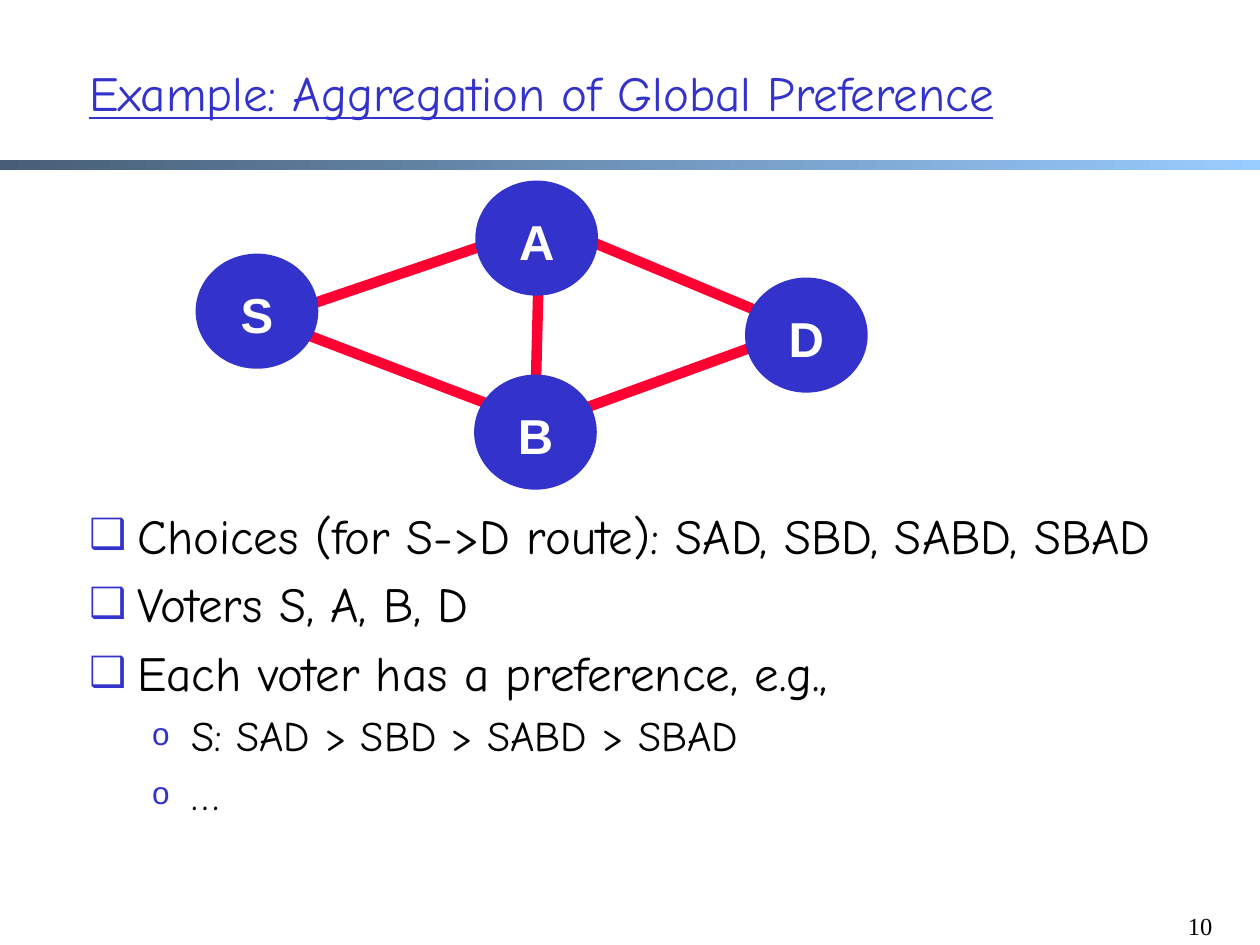
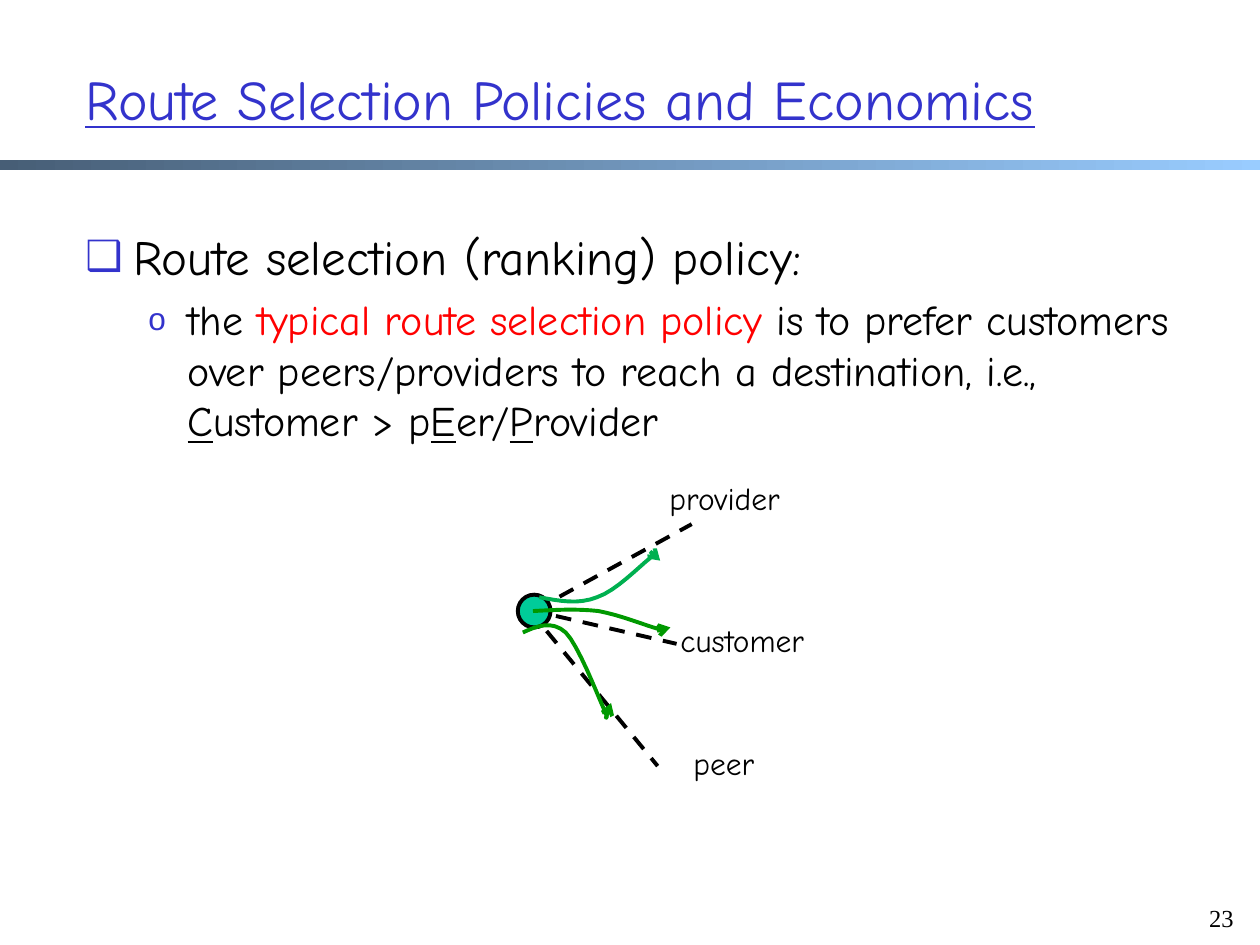
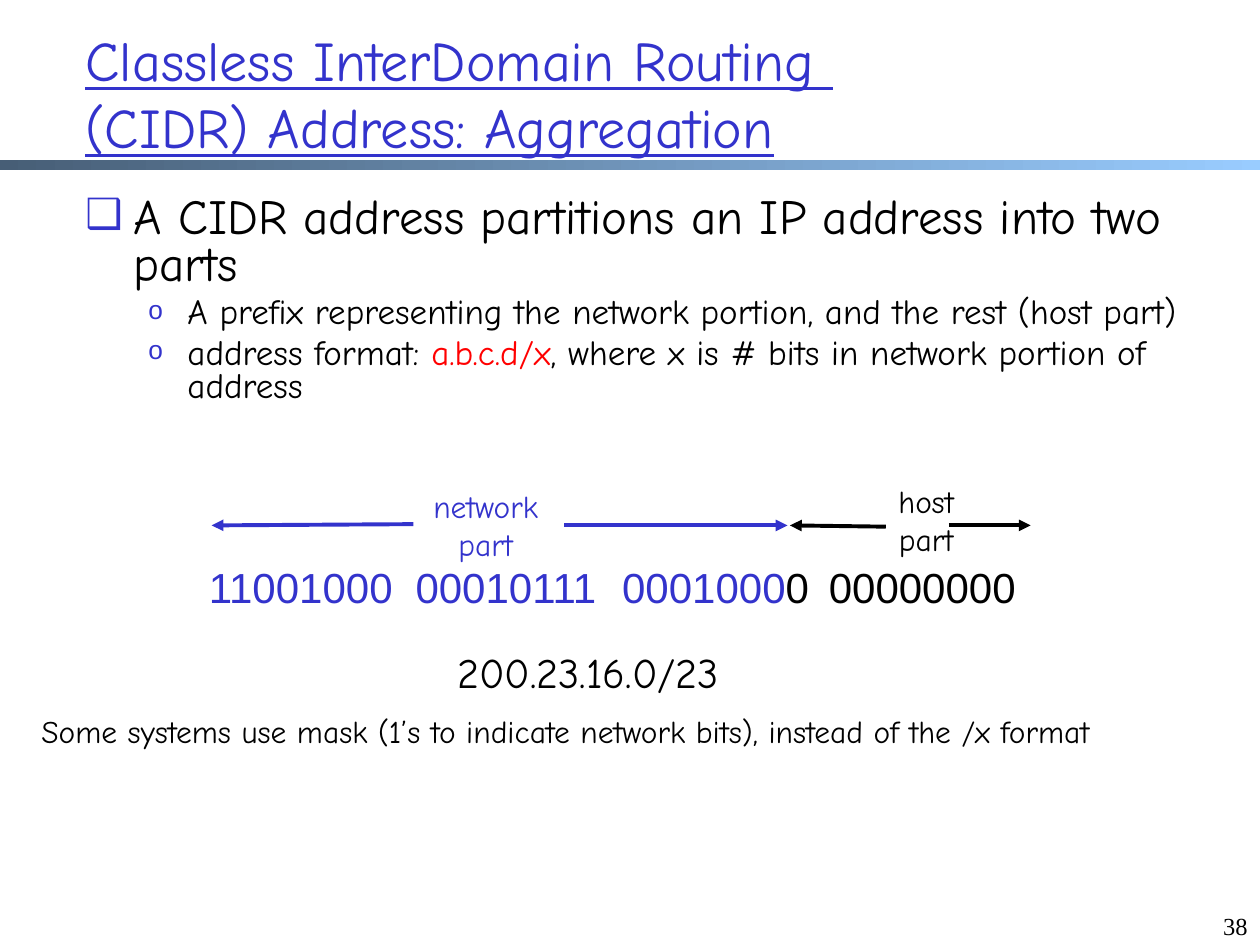
"""Build three slides on interdomain routing: preferences, policies and CIDR."""
import dataclasses

import lxml.etree
import pptx
import pptx.dml.color
import pptx.enum.dml
import pptx.enum.shapes
import pptx.enum.text
import pptx.oxml.ns
import pptx.util

Inches = pptx.util.Inches
Align = pptx.enum.text.PP_ALIGN
Anchor = pptx.enum.text.MSO_ANCHOR
Preset = pptx.enum.shapes.MSO_SHAPE


@dataclasses.dataclass(frozen=True)
class Theme:
    blue: str = "3333CC"
    black: str = "000000"
    white: str = "FFFFFF"
    red: str = "FF0000"
    link: str = "FF0033"
    router: str = "00CC99"
    route: str = "009900"
    provider_route: str = "00B050"
    band_start: str = "475E76"
    band_end: str = "99CCFF"
    text_font: str = "Comic Neue"
    plain_font: str = "Arial"
    number_font: str = "Times New Roman"
    title: int = 32
    large: int = 28
    medium: int = 24
    small: int = 20
    label: int = 18
    number: int = 14
    link_width: float = 6
    line_width: float = 2.25


THEME = Theme()
BULLETS = [("❑", 0.38, -0.38, 85), ("o", 0.81, -0.31, 75)]


@dataclasses.dataclass(frozen=True)
class Span:
    text: str
    colour: str = THEME.black
    underline: bool = False


def rgb(colour):
    return pptx.dml.color.RGBColor.from_string(colour)


def add_child(parent, tag, **attributes):
    child = lxml.etree.SubElement(parent, pptx.oxml.ns.qn(tag))
    for name, value in attributes.items():
        child.set(name, str(value))
    return child


def write(paragraph, span, size, font=THEME.text_font, bold=False):
    run = paragraph.add_run()
    run.text = span.text
    run.font.name = font
    run.font.size = pptx.util.Pt(size)
    run.font.bold = bold
    run.font.underline = span.underline
    run.font.color.rgb = rgb(span.colour)


def add_frame(slide, left, top, width, height):
    frame = slide.shapes.add_textbox(
        Inches(left), Inches(top), Inches(width), Inches(height)).text_frame
    frame.word_wrap = True
    return frame


def each_paragraph(frame, items):
    for index, item in enumerate(items):
        yield (frame.add_paragraph() if index else frame.paragraphs[0]), item


def add_label(slide, box, lines, size=THEME.label, colour=THEME.black,
              font=THEME.text_font, align=Align.CENTER):
    for paragraph, line in each_paragraph(add_frame(slide, *box), lines):
        paragraph.alignment = align
        write(paragraph, Span(line, colour), size, font)


def add_title(slide, box, lines, size=THEME.title):
    frame = add_frame(slide, *box)
    frame.vertical_anchor = Anchor.MIDDLE
    paragraph = frame.paragraphs[0]
    for index, line in enumerate(lines):
        if index:
            paragraph.add_line_break()
        write(paragraph, Span(line, THEME.blue, True), size)


def add_bullets(slide, box, points, line_spacing=1.0):
    frame = add_frame(slide, *box)
    for paragraph, (level, size, spans) in each_paragraph(frame, points):
        symbol, margin, indent, percent = BULLETS[level]
        paragraph.level = level
        paragraph.line_spacing = line_spacing
        if paragraph is not frame.paragraphs[0] and (level, size) != points[0][:2] or spans is not points[0][2]:
            paragraph.space_before = pptx.util.Pt(size * 0.2)
        properties = paragraph._p.get_or_add_pPr()
        properties.set("marL", str(Inches(margin)))
        properties.set("indent", str(Inches(indent)))
        add_child(add_child(properties, "a:buClr"), "a:srgbClr", val=THEME.blue)
        add_child(properties, "a:buSzPct", val=percent * 1000)
        add_child(properties, "a:buFont", typeface=THEME.plain_font)
        add_child(properties, "a:buChar", char=symbol)
        for span in spans:
            write(paragraph, span, size)


def style_line(shape, colour, width, arrowhead=None):
    shape.line.color.rgb = rgb(colour)
    shape.line.width = pptx.util.Pt(width)
    if arrowhead:
        outline = shape.element.spPr.find(pptx.oxml.ns.qn("a:ln"))
        add_child(outline, "a:tailEnd", type=arrowhead)


def add_line(slide, start, end, colour, width=THEME.line_width,
             arrowhead=None, dashed=False):
    line = slide.shapes.add_connector(
        pptx.enum.shapes.MSO_CONNECTOR.STRAIGHT,
        *(Inches(value) for value in (*start, *end)))
    line.line.color.rgb = rgb(colour)
    if dashed:
        line.line.dash_style = pptx.enum.dml.MSO_LINE.DASH
    style_line(line, colour, width, arrowhead)
    add_child(line.element.spPr, "a:effectLst")


def add_circle(slide, left, top, width, height, fill, outline, line_width):
    circle = slide.shapes.add_shape(
        Preset.OVAL, Inches(left), Inches(top), Inches(width), Inches(height))
    circle.shadow.inherit = False
    circle.fill.solid()
    circle.fill.fore_color.rgb = rgb(fill)
    style_line(circle, outline, line_width)
    return circle


def add_node(slide, name, left, top):
    node = add_circle(slide, left, top, 0.96, 0.9, THEME.blue, THEME.blue, 1)
    frame = node.text_frame
    frame.word_wrap = False
    frame.vertical_anchor = Anchor.MIDDLE
    frame.margin_left = frame.margin_right = frame.margin_bottom = 0
    frame.margin_top = Inches(0.05)
    frame.paragraphs[0].alignment = Align.CENTER
    write(frame.paragraphs[0], Span(name, THEME.white), THEME.large,
          THEME.plain_font, bold=True)


def bezier(p0, p1, p2, p3, steps=8):
    for step in range(1, steps + 1):
        t = step / steps
        s = 1 - t
        yield tuple(
            Inches(s**3 * a + 3 * s * s * t * b + 3 * s * t * t * c + t**3 * d)
            for a, b, c, d in zip(p0, p1, p2, p3))


def add_route(slide, colour, knots):
    outline = slide.shapes.build_freeform(Inches(knots[0][0]), Inches(knots[0][1]))
    for first in range(0, len(knots) - 1, 3):
        outline.add_line_segments(list(bezier(*knots[first:first + 4])), close=False)
    route = outline.convert_to_shape()
    route.shadow.inherit = False
    route.fill.background()
    style_line(route, colour, THEME.line_width, "arrow")


def start_slide(deck, number, number_left, number_top=7.18):
    slide = deck.slides.add_slide(deck.slide_layouts[6])
    band = slide.shapes.add_shape(
        Preset.RECTANGLE, 0, Inches(1.27), deck.slide_width, Inches(0.08))
    band.shadow.inherit = False
    band.line.fill.background()
    band.fill.gradient()
    band.fill.gradient_angle = 0
    for stop, colour in zip(band.fill.gradient_stops, (THEME.band_start, THEME.band_end)):
        stop.color.rgb = rgb(colour)
    add_label(slide, (number_left, number_top, 0.47, 0.32), [number],
              THEME.number, font=THEME.number_font, align=Align.RIGHT)
    return slide


def build_preference_slide(deck):
    slide = start_slide(deck, "10", 9.25)
    links = [((4.28, 1.98), (4.25, 3.18)), ((4.53, 1.85), (6.16, 2.53)),
             ((4.42, 3.32), (6.34, 2.62)), ((4.17, 3.32), (2.26, 2.59)),
             ((4.01, 1.89), (2.07, 2.55))]
    for start, end in links:
        add_line(slide, start, end, THEME.link, THEME.link_width)
    add_title(slide, (0.61, 0.21, 8.78, 1.04),
              ["Example: Aggregation of Global Preference"], THEME.large)
    for name, left, top in [("S", 1.56, 2.02), ("A", 3.78, 1.44),
                            ("B", 3.77, 2.98), ("D", 5.92, 2.21)]:
        add_node(slide, name, left, top)
    add_bullets(slide, (0.61, 3.96, 9.11, 3.22), [
        (0, THEME.large, [Span("Choices (for S->D route): SAD, SBD, SABD, SBAD")]),
        (0, THEME.large, [Span("Voters S, A, B, D")]),
        (0, THEME.large, [Span("Each voter has a preference, e.g.,")]),
        (1, THEME.medium, [Span("S: SAD > SBD > SABD > SBAD")]),
        (1, THEME.medium, [Span("…")]),
    ])


def build_policy_slide(deck):
    slide = start_slide(deck, "23", 9.42, 7.12)
    add_title(slide, (0.58, 0.15, 8.78, 1.25),
              ["Route Selection Policies and Economics"])
    add_bullets(slide, (0.58, 1.75, 8.81, 5.31), [
        (0, THEME.large, [Span("Route selection (ranking) policy:")]),
        (1, THEME.medium, [
            Span("the "), Span("typical route selection policy", THEME.red),
            Span(" is to prefer customers over peers/providers to reach a destination, i.e., "),
            Span("C", underline=True), Span("ustomer > p"),
            Span("E", underline=True), Span("er/"),
            Span("P", underline=True), Span("rovider")]),
    ])
    neighbours = [("provider", (4.25, 4.84), (5.49, 4.16), (5.16, 3.75, 1.18, 0.4)),
                  ("customer", (4.2, 4.84), (5.37, 5.11), (5.25, 4.88, 1.28, 0.4)),
                  ("peer", (4.2, 4.84), (5.22, 6.08), (5.38, 5.86, 0.73, 0.4))]
    for name, start, end, box in neighbours:
        add_line(slide, start, end, THEME.black, dashed=True)
        add_label(slide, box, [name])
    add_circle(slide, 4.11, 4.72, 0.26, 0.26, THEME.router, THEME.black,
               THEME.line_width)
    add_route(slide, THEME.route, [
        (4.23, 4.85), (4.41, 4.84), (4.58, 4.83), (4.75, 4.85),
        (4.92, 4.88), (5.14, 4.97), (5.22, 4.99), (5.31, 5.02),
        (5.24, 5.01), (5.26, 5.01), (5.28, 5.01), (5.28, 4.99), (5.32, 4.98)])
    add_route(slide, THEME.provider_route, [
        (4.28, 4.74), (4.44, 4.77), (4.59, 4.8), (4.74, 4.74),
        (4.89, 4.69), (5.08, 4.49), (5.16, 4.43), (5.23, 4.37),
        (5.17, 4.39), (5.19, 4.39), (5.2, 4.4), (5.21, 4.42), (5.24, 4.45)])
    add_route(slide, THEME.route, [
        (4.15, 5.02), (4.26, 4.97), (4.38, 4.92), (4.49, 5.02),
        (4.59, 5.12), (4.74, 5.51), (4.79, 5.62), (4.84, 5.73),
        (4.8, 5.69), (4.81, 5.69), (4.82, 5.68), (4.83, 5.63), (4.85, 5.58)])


def add_binary_address(slide):
    paragraph = add_frame(slide, 1.56, 4.41, 6.7, 0.5).paragraphs[0]
    tabs = add_child(paragraph._p.get_or_add_pPr(), "a:tabLst")
    for octet in range(1, 4):
        add_child(tabs, "a:tab", pos=Inches(1.64 * octet), algn="l")
    for span in (Span("11001000\t00010111\t0001000", THEME.blue),
                 Span("0\t00000000")):
        write(paragraph, span, THEME.medium, THEME.plain_font)


def build_cidr_slide(deck):
    slide = start_slide(deck, "38", 9.53)
    add_title(slide, (0.58, 0.11, 8.78, 1.25),
              ["Classless InterDomain Routing ", "(CIDR) Address: Aggregation"])
    add_bullets(slide, (0.58, 1.51, 8.87, 1.92), [
        (0, THEME.large, [Span("A CIDR address partitions an IP address into two parts")]),
        (1, THEME.small, [
            Span("A prefix representing the network portion, and the rest (host part)")]),
        (1, THEME.small, [
            Span("address format: "), Span("a.b.c.d/x", THEME.red),
            Span(", where x is # bits in network portion of address")]),
    ], line_spacing=0.8)
    add_binary_address(slide)
    add_label(slide, (3.28, 3.82, 1.15, 0.7), ["network", "part"], colour=THEME.blue)
    add_label(slide, (6.99, 3.78, 0.72, 0.7), ["host", "part"])
    extents = [((4.48, 4.17), (6.25, 4.17), THEME.blue),
               ((3.28, 4.16), (1.68, 4.17), THEME.blue),
               ((7.03, 4.18), (6.27, 4.17), THEME.black),
               ((7.53, 4.17), (8.18, 4.17), THEME.black)]
    for start, end, colour in extents:
        add_line(slide, start, end, colour, arrowhead="triangle")
    add_label(slide, (3.53, 5.08, 2.6, 0.5), ["200.23.16.0/23"],
              THEME.medium, align=Align.LEFT)
    add_label(slide, (0.23, 5.6, 9.53, 0.4),
              ["Some systems use mask (1’s to indicate network bits), instead of the /x format"],
              align=Align.LEFT)


def main():
    deck = pptx.Presentation()
    deck.slide_width = Inches(10)
    deck.slide_height = Inches(7.5)
    build_preference_slide(deck)
    build_policy_slide(deck)
    build_cidr_slide(deck)
    deck.save("out.pptx")


if __name__ == "__main__":
    main()
